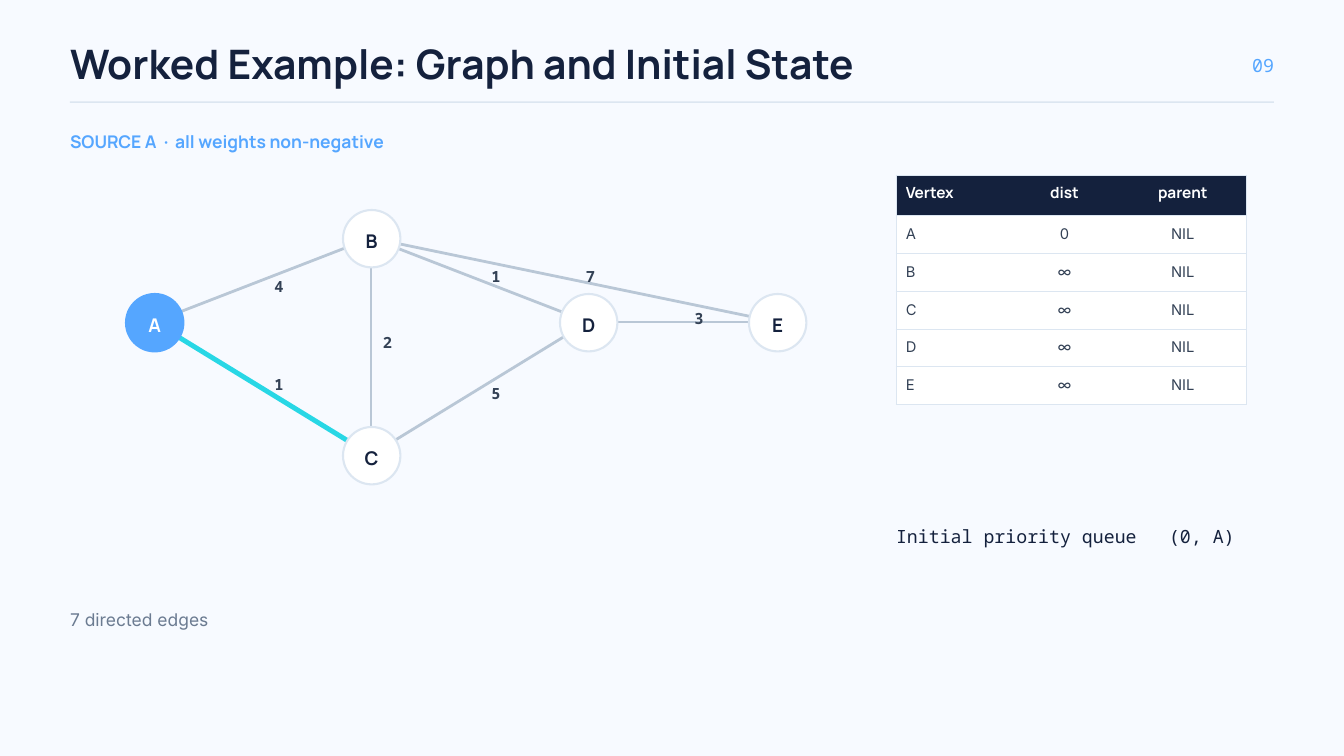
from lxml import etree
from pptx import Presentation, util as u
from pptx.dml.color import RGBColor
from pptx.enum import shapes, text
from pptx.oxml.ns import qn

NAVY = RGBColor(0x14, 0x21, 0x3D)
SLATE = RGBColor(0x33, 0x41, 0x55)
GREY = RGBColor(0x6B, 0x7B, 0x91)
BLUE = RGBColor(0x55, 0xA6, 0xFF)
CYAN = RGBColor(0x28, 0xD7, 0xE5)
EDGE = RGBColor(0xB9, 0xC7, 0xD6)
RULE = RGBColor(0xDC, 0xE6, 0xF1)
PAPER = RGBColor(0xF7, 0xFA, 0xFF)
WHITE = RGBColor(0xFF, 0xFF, 0xFF)

HEADING, BODY, MONO = "Manrope", "Inter", "Noto Sans Mono"
LEFT, CENTER, RIGHT = text.PP_ALIGN.LEFT, text.PP_ALIGN.CENTER, text.PP_ALIGN.RIGHT
NODE_SIZE = 61.5

CENTERS = {"A": (165, 345), "B": (397.5, 255), "C": (397.5, 487.5),
           "D": (630, 345), "E": (832.5, 345)}
# start, end, weight, extra drop of the weight label
EDGES = [("A", "B", 4, 11), ("A", "C", 1, 0), ("C", "B", 2, 0), ("B", "D", 1, 0),
         ("C", "D", 5, 9), ("D", "E", 3, 0), ("B", "E", 7, 0)]
CHOSEN_EDGE = ("A", "C")
SOURCE = "A"

STATE = [("Vertex", "dist", "parent")]
STATE += [(name, "0" if name == SOURCE else "∞", "NIL") for name in CENTERS]


class SlideBuilder:
    def __init__(self, deck):
        self.slide = deck.slides.add_slide(deck.slide_layouts[5])
        self.slide.background.fill.solid()
        self.slide.background.fill.fore_color.rgb = PAPER

    def set_text(self, frame, words, font, size, color, spacing,
                 bold=False, align=LEFT, stops=()):
        """Fill a frame with one paragraph; stops are tab positions."""
        para = frame.paragraphs[0]
        para.text = words
        para.alignment = align
        para.line_spacing = u.Pt(spacing)
        if stops:
            tabs = etree.SubElement(para._p.get_or_add_pPr(), qn("a:tabLst"))
            for stop in stops:
                etree.SubElement(tabs, qn("a:tab"), pos=str(u.Pt(stop)), algn="l")
        para.font.name, para.font.size, para.font.bold = font, u.Pt(size), bold
        para.font.color.rgb = color

    def set_frame(self, frame, margin=0, anchor=text.MSO_ANCHOR.TOP):
        frame.word_wrap = True
        frame.auto_size = text.MSO_AUTO_SIZE.NONE
        frame.vertical_anchor = anchor
        frame.margin_left = frame.margin_right = u.Pt(margin)
        frame.margin_top = frame.margin_bottom = u.Pt(margin)

    def title(self, words, left, top, width, height):
        box = self.slide.shapes.title
        box.left, box.top, box.width, box.height = map(u.Pt, (left, top, width, height))
        self.set_frame(box.text_frame)
        self.set_text(box.text_frame, words, HEADING, 43.5, NAVY, 45.7, bold=True)

    def text(self, words, left, top, width, height, *style, **options):
        box = self.slide.shapes.add_textbox(*map(u.Pt, (left, top, width, height)))
        self.set_frame(box.text_frame)
        self.set_text(box.text_frame, words, *style, **options)

    def shape(self, kind, left, top, width, height, fill, line=None):
        shape = self.slide.shapes.add_shape(kind, *map(u.Pt, (left, top, width, height)))
        shape.shadow.inherit = False
        shape.fill.solid()
        shape.fill.fore_color.rgb = fill
        if line is None:
            shape.line.fill.background()
        else:
            shape.line.color.rgb = line
            shape.line.width = u.Pt(2.25)
        return shape

    def edge(self, start, end, weight, drop):
        (x1, y1), (x2, y2) = CENTERS[start], CENTERS[end]
        chosen = (start, end) == CHOSEN_EDGE
        arrow = self.slide.shapes.add_connector(
            shapes.MSO_CONNECTOR.STRAIGHT, *map(u.Pt, (x1, y1, x2, y2)))
        arrow.line.color.rgb = CYAN if chosen else EDGE
        arrow.line.width = u.Pt(5.25 if chosen else 3)
        properties = arrow.element.spPr
        etree.SubElement(properties.find(qn("a:ln")), qn("a:tailEnd"), type="triangle")
        etree.SubElement(properties, qn("a:effectLst"))
        self.text(str(weight), (x1 + x2) / 2 - 4, (y1 + y2) / 2 - 17.25 + drop, 43.2, 21.6,
                  MONO, 16.5, SLATE, 23.1, bold=True, align=CENTER)

    def node(self, name):
        x, y = CENTERS[name]
        fill, line, color = (BLUE, BLUE, WHITE) if name == SOURCE else (WHITE, RULE, NAVY)
        circle = self.shape(shapes.MSO_SHAPE.OVAL, x - 30, y - 30,
                            NODE_SIZE, NODE_SIZE, fill, line)
        self.set_frame(circle.text_frame, 4.5, text.MSO_ANCHOR.MIDDLE)
        self.set_text(circle.text_frame, name, HEADING, 20.25, color, 28.4,
                      bold=True, align=CENTER)

    def borders(self, cell, visible):
        """Draw the named sides of a cell and hide the others."""
        properties = cell._tc.get_or_add_tcPr()
        for place, side in enumerate("LRTB"):
            line = etree.Element(qn(f"a:ln{side}"), w=str(u.Pt(0.75)))
            if side in visible:
                fill = etree.SubElement(line, qn("a:solidFill"))
                etree.SubElement(fill, qn("a:srgbClr"), val=str(RULE))
            else:
                etree.SubElement(line, qn("a:noFill"))
            properties.insert(place, line)

    def table(self, rows, left, top, widths, header_height, row_height):
        heights = [header_height] + [row_height] * (len(rows) - 1)
        size = (left, top, sum(widths), sum(heights))
        table = self.slide.shapes.add_table(len(rows), len(widths), *map(u.Pt, size)).table
        for column, width in zip(table.columns, widths):
            column.width = u.Pt(width)
        last = len(widths) - 1
        for r, row in enumerate(rows):
            table.rows[r].height = u.Pt(heights[r])
            for c, words in enumerate(row):
                cell = table.cell(r, c)
                cell.margin_left = u.Pt(0 if c else 10.5)
                cell.margin_right = cell.margin_bottom = 0
                cell.margin_top = u.Pt(7.5)
                cell.fill.solid()
                cell.fill.fore_color.rgb = WHITE if r else NAVY
                style = (BODY, 15.75, SLATE, 22) if r else (HEADING, 16.5, WHITE, 23.1)
                self.set_text(cell.text_frame, words, *style, bold=r == 0,
                              align=CENTER if c else LEFT)
                self.borders(cell, "TB" + "L" * (c == 0) + "R" * (c == last))


def main():
    deck = Presentation()
    deck.slide_width, deck.slide_height = u.Pt(1440), u.Pt(810)
    page = SlideBuilder(deck)

    page.title("Worked Example: Graph and Initial State", 75, 48, 1125, 49.5)
    page.text("09", 1305, 54, 60, 26, MONO, 19.5, BLUE, 27.3, align=RIGHT)
    page.shape(shapes.MSO_SHAPE.RECTANGLE, 75, 108.75, 1290, 1.5, RULE)
    page.text("SOURCE A\t·\tall weights non-negative", 75, 143.25, 675, 21.6,
              HEADING, 18.75, BLUE, 19.7, bold=True, stops=(100.5, 112.5))

    for edge in EDGES:
        page.edge(*edge)
    for name in CENTERS:
        page.node(name)

    page.table(STATE, 960, 187.5, (121.5, 118, 135.5), 43.5, 40.5)
    page.text("Initial priority queue\t(0, A)", 960, 560.25, 375, 26,
              MONO, 19.5, NAVY, 26.3, stops=(292.5,))
    page.text("7 directed edges", 75, 651, 300, 24, BODY, 18.75, GREY, 24.4)

    deck.save("out.pptx")


if __name__ == "__main__":
    main()
